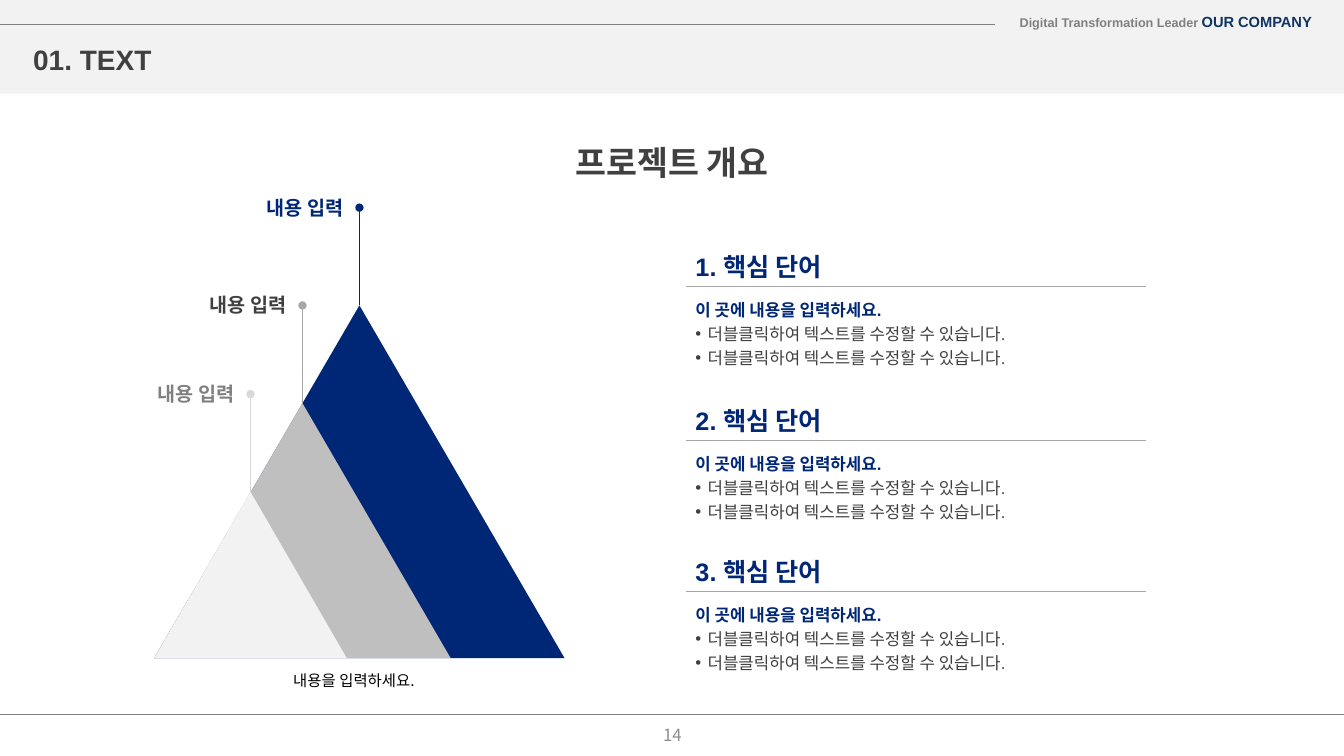
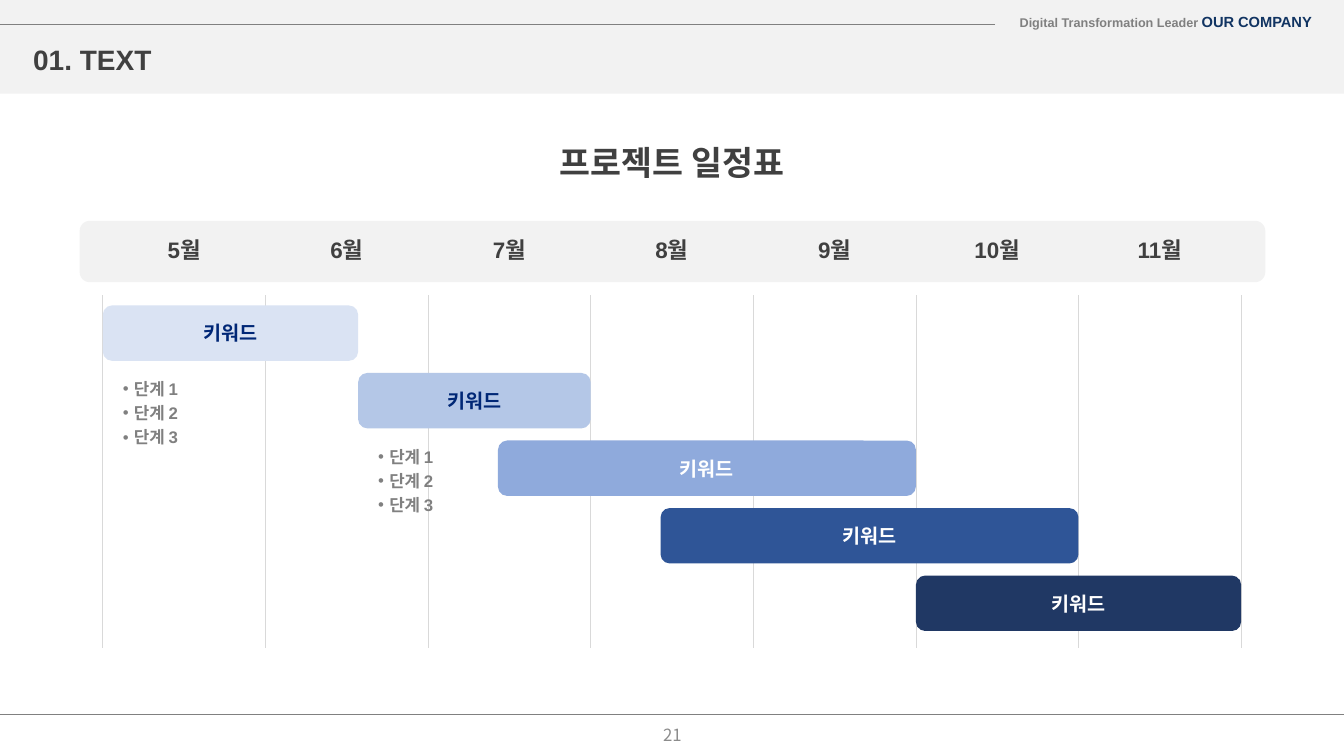
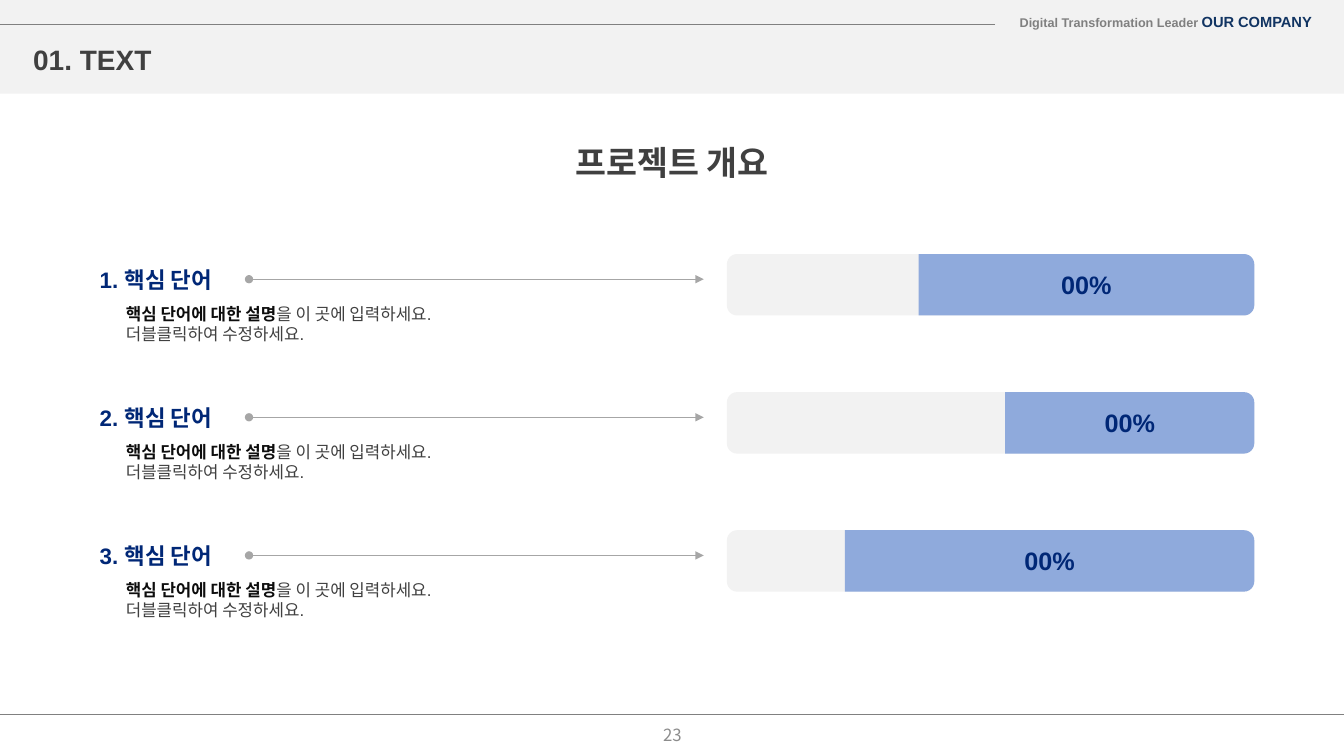
"""Build three project slides: overview pyramid, schedule and ratio bars."""
from dataclasses import dataclass

import lxml.etree
import pptx
import pptx.dml.color
import pptx.enum.shapes
import pptx.enum.text
import pptx.oxml.ns
import pptx.util

Inches = pptx.util.Inches
RGBColor = pptx.dml.color.RGBColor
Shape = pptx.enum.shapes.MSO_SHAPE
Align = pptx.enum.text.PP_ALIGN
Anchor = pptx.enum.text.MSO_ANCHOR

WHITE = RGBColor(0xFF, 0xFF, 0xFF)
BLACK = RGBColor(0, 0, 0)
INK = RGBColor(0x0D, 0x0D, 0x0D)
DARK = RGBColor(0x40, 0x40, 0x40)
GRAY = RGBColor(0x80, 0x80, 0x80)
FOOTER_GRAY = RGBColor(0x8C, 0x8C, 0x8C)
RULE_GRAY = RGBColor(0xA6, 0xA6, 0xA6)
SILVER = RGBColor(0xBF, 0xBF, 0xBF)
PALE_GRAY = RGBColor(0xD9, 0xD9, 0xD9)
BAND = RGBColor(0xF2, 0xF2, 0xF2)
NAVY = RGBColor(0, 0x27, 0x76)
BRAND_NAVY = RGBColor(0x11, 0x34, 0x62)
BLUE_1 = RGBColor(0xDA, 0xE3, 0xF3)
BLUE_2 = RGBColor(0xB4, 0xC7, 0xE7)
BLUE_3 = RGBColor(0x8F, 0xAA, 0xDC)
BLUE_4 = RGBColor(0x2F, 0x55, 0x97)
BLUE_5 = RGBColor(0x20, 0x38, 0x64)

LATIN = "Arial"
KOREAN = "Noto Sans CJK KR"
PAGE_WIDTH = 13.33


@dataclass(frozen=True)
class Style:
    """Look of a span of text."""
    size: float
    color: RGBColor
    bold: bool = True
    font: str = LATIN


BODY = Style(12, DARK, False)
BODY_LEAD = Style(12, NAVY)


def add_child(parent, tag, **attributes):
    """Append a DrawingML element to a parent element."""
    return lxml.etree.SubElement(parent, pptx.oxml.ns.qn(tag), attributes)


def write(frame, paragraphs, align=Align.LEFT, spacing=None):
    """Fill a frame with paragraphs, each a list of (text, style) spans."""
    for index, spans in enumerate(paragraphs):
        para = frame.add_paragraph() if index else frame.paragraphs[0]
        para.alignment = align
        if spacing:
            para.line_spacing = spacing
        for text, style in spans:
            span = para.add_run()
            span.text = text
            span.font.size = pptx.util.Pt(style.size)
            span.font.bold = style.bold
            span.font.color.rgb = style.color
            span.font.name = style.font
            add_child(span.font._element, "a:ea", typeface=KOREAN)


def add_bullet(para, indent):
    """Give a paragraph a round bullet with a hanging indent."""
    properties = para._p.get_or_add_pPr()
    properties.set("marL", str(Inches(indent)))
    properties.set("indent", str(-Inches(indent)))
    add_child(properties, "a:buFont", typeface=LATIN)
    add_child(properties, "a:buChar", char="•")


def add_text(page, left, top, width, height, paragraphs,
             align=Align.LEFT, anchor=Anchor.TOP, spacing=None):
    """Add a wrapping text box."""
    box = page.shapes.add_textbox(Inches(left), Inches(top), Inches(width), Inches(height))
    box.text_frame.word_wrap = True
    box.text_frame.vertical_anchor = anchor
    write(box.text_frame, paragraphs, align, spacing)
    return box


def add_block(page, kind, left, top, width, height, fill):
    """Add a flat filled shape without outline."""
    block = page.shapes.add_shape(kind, Inches(left), Inches(top), Inches(width), Inches(height))
    block.shadow.inherit = False
    block.fill.solid()
    block.fill.fore_color.rgb = fill
    block.line.fill.background()
    return block


def add_line(page, start, end, color, head=None, tail=None):
    """Add a thin straight line with optional ends."""
    line = page.shapes.add_connector(
        pptx.enum.shapes.MSO_CONNECTOR.STRAIGHT,
        Inches(start[0]), Inches(start[1]), Inches(end[0]), Inches(end[1]))
    line.line.color.rgb = color
    line.line.width = pptx.util.Pt(0.5)
    outline = line.line._get_or_add_ln()
    for tag, kind in (("a:headEnd", head), ("a:tailEnd", tail)):
        if kind:
            add_child(outline, tag, type=kind)
    add_child(line._element.spPr, "a:effectLst")
    return line


def add_page(deck, title, number):
    """Add a page with the shared header band, title and footer."""
    page = deck.slides.add_slide(deck.slide_layouts[6])
    add_block(page, Shape.RECTANGLE, 0, 0, PAGE_WIDTH, 0.93, BAND)
    add_text(page, 9.97, 0.1, 3.14, 0.28,
             [[("Digital Transformation Leader ", Style(9, GRAY)),
               ("OUR COMPANY", Style(10.5, BRAND_NAVY))]],
             Align.RIGHT, Anchor.MIDDLE, 0.7)
    add_text(page, 0.23, 0.38, 5.19, 0.42, [[("01. TEXT", Style(20, DARK))]],
             anchor=Anchor.MIDDLE)
    add_line(page, (9.87, 0.24), (0, 0.24), GRAY)
    add_line(page, (PAGE_WIDTH, 7.09), (0, 7.09), GRAY)
    add_text(page, 4.07, 1.4, 5.19, 0.42, [[(title, Style(24, DARK))]],
             Align.CENTER, Anchor.MIDDLE)
    add_text(page, 5.17, 7.09, 3, 0.4,
             [[(str(number), Style(12, FOOTER_GRAY, False, KOREAN))]],
             Align.CENTER, Anchor.MIDDLE)
    return page


def add_pyramid(page, left, bottom):
    """Draw nested triangles with a labelled pin on each apex."""
    layers = ((4.07, 3.5, NAVY, NAVY, NAVY),
              (2.94, 2.53, SILVER, RULE_GRAY, DARK),
              (1.91, 1.65, BAND, PALE_GRAY, GRAY))
    for width, height, fill, pin_color, label_color in layers:
        apex_x, apex_y = left + width / 2, bottom - height
        triangle = add_block(page, Shape.ISOSCELES_TRIANGLE, left, apex_y, width, height, fill)
        pin_top = apex_y - 0.97
        pin = add_line(page, (apex_x, apex_y), (apex_x, pin_top), pin_color, tail="oval")
        pin.begin_connect(triangle, 0)
        add_text(page, apex_x - 1.12, pin_top - 0.17, 1.06, 0.34,
                 [[("내용 입력", Style(14, label_color))]], Align.RIGHT)
    add_text(page, left + 1.28, bottom + 0.08, 1.52, 0.29,
             [[("내용을 입력하세요.", Style(11, BLACK, False, KOREAN))]])


def add_section(page, left, top, number):
    """Write a numbered heading, a rule and bulleted details."""
    add_text(page, left, top, 1.6, 0.46,
             [[(f"{number}. 핵심 단어", Style(18, NAVY))]], spacing=1.2)
    detail = [("더블클릭하여 텍스트를 수정할 수 있습니다.", BODY)]
    box = add_text(page, left, top + 0.5, 3.76, 0.83,
                   [[("이 곳에 내용을 입력하세요.", BODY_LEAD)], detail, detail], spacing=1.2)
    for para in box.text_frame.paragraphs[1:]:
        add_bullet(para, 0.12)
    add_line(page, (left, top + 0.46), (left + 4.57, top + 0.46), RULE_GRAY)


def add_steps(page, left, top):
    """List the three steps of a task."""
    box = add_text(page, left, top, 0.85, 0.83,
                   [[(f"단계 {step}", Style(12, GRAY))] for step in (1, 2, 3)], spacing=1.2)
    for para in box.text_frame.paragraphs:
        add_bullet(para, 0.11)


def add_schedule(page, left, top, width):
    """Draw a month header, grid lines and task bars."""
    months = range(5, 12)
    column = width / len(months)
    add_block(page, Shape.ROUNDED_RECTANGLE, left - 0.23, top, width + 0.47, 0.61, BAND)
    for index in range(len(months) + 1):
        x = left + index * column
        add_line(page, (x, top + 0.74), (x, top + 4.24), PALE_GRAY)
    for index, month in enumerate(months):
        add_text(page, left + (index + 0.5) * column - 0.45, top + 0.08, 0.9, 0.42,
                 [[(f"{month}월", Style(16, DARK))]], Align.CENTER, Anchor.MIDDLE)
    tasks = ((0, 1.57, BLUE_1, NAVY, True), (1.57, 1.43, BLUE_2, NAVY, True),
             (2.43, 2.57, BLUE_3, WHITE, False), (3.43, 2.57, BLUE_4, WHITE, False),
             (5, 2, BLUE_5, WHITE, False))
    for row, (start, span, fill, color, has_steps) in enumerate(tasks):
        bar_left, bar_top = left + start * column, top + 0.84 + row * 0.67
        bar = add_block(page, Shape.ROUNDED_RECTANGLE, bar_left, bar_top,
                        span * column, 0.55, fill)
        bar.text_frame.vertical_anchor = Anchor.MIDDLE
        write(bar.text_frame, [[("키워드", Style(14, color, True, KOREAN))]], Align.CENTER)
        if has_steps:
            add_steps(page, bar_left + 0.1, bar_top + 0.64)


def add_ratio_row(page, left, top, number, filled):
    """Draw a described keyword with an arrow to its ratio bar."""
    add_text(page, left + 0.26, top + 0.44, 4.01, 0.71,
             [[("핵심 단어에 대한 설명", Style(12, INK)), ("을 이 곳에 입력하세요.", BODY)],
              [("더블클릭하여 수정하세요.", BODY)]])
    heading = add_text(page, left, top + 0.06, 1.58, 0.38,
                       [[(f"{number}. 핵심 단어", Style(16, NAVY))]], anchor=Anchor.MIDDLE)
    arrow_y = top + 0.25
    arrow = add_line(page, (left + 1.58, arrow_y), (left + 6.09, arrow_y), RULE_GRAY,
                     "oval", "triangle")
    arrow.begin_connect(heading, 3)
    track_left, track_width, height = left + 6.32, 5.23, 0.61
    add_block(page, Shape.ROUNDED_RECTANGLE, track_left, top, track_width, height, BAND)
    center_x = track_left + track_width - filled / 2
    center_y = top + height / 2
    portion = add_block(page, Shape.ROUND_2_SAME_RECTANGLE, center_x - height / 2,
                        center_y - filled / 2, height, filled, BLUE_3)
    portion.rotation = 90
    add_text(page, center_x - 0.4, center_y - 0.2, 0.8, 0.4,
             [[("00%", Style(18, NAVY))]], Align.CENTER, Anchor.MIDDLE)


def main():
    """Build and save the deck."""
    deck = pptx.Presentation()
    deck.slide_width, deck.slide_height = Inches(PAGE_WIDTH), Inches(7.5)

    page = add_page(deck, "프로젝트 개요", 14)
    add_pyramid(page, 1.53, 6.53)
    for number, top in enumerate((2.38, 3.91, 5.41), 1):
        add_section(page, 6.8, top, number)

    page = add_page(deck, "프로젝트 일정표", 21)
    add_schedule(page, 1.02, 2.19, 11.29)

    page = add_page(deck, "프로젝트 개요", 23)
    for row, filled in enumerate((3.33, 2.47, 4.06)):
        add_ratio_row(page, 0.89, 2.52 + row * 1.37, row + 1, filled)

    deck.save("out.pptx")


if __name__ == "__main__":
    main()
